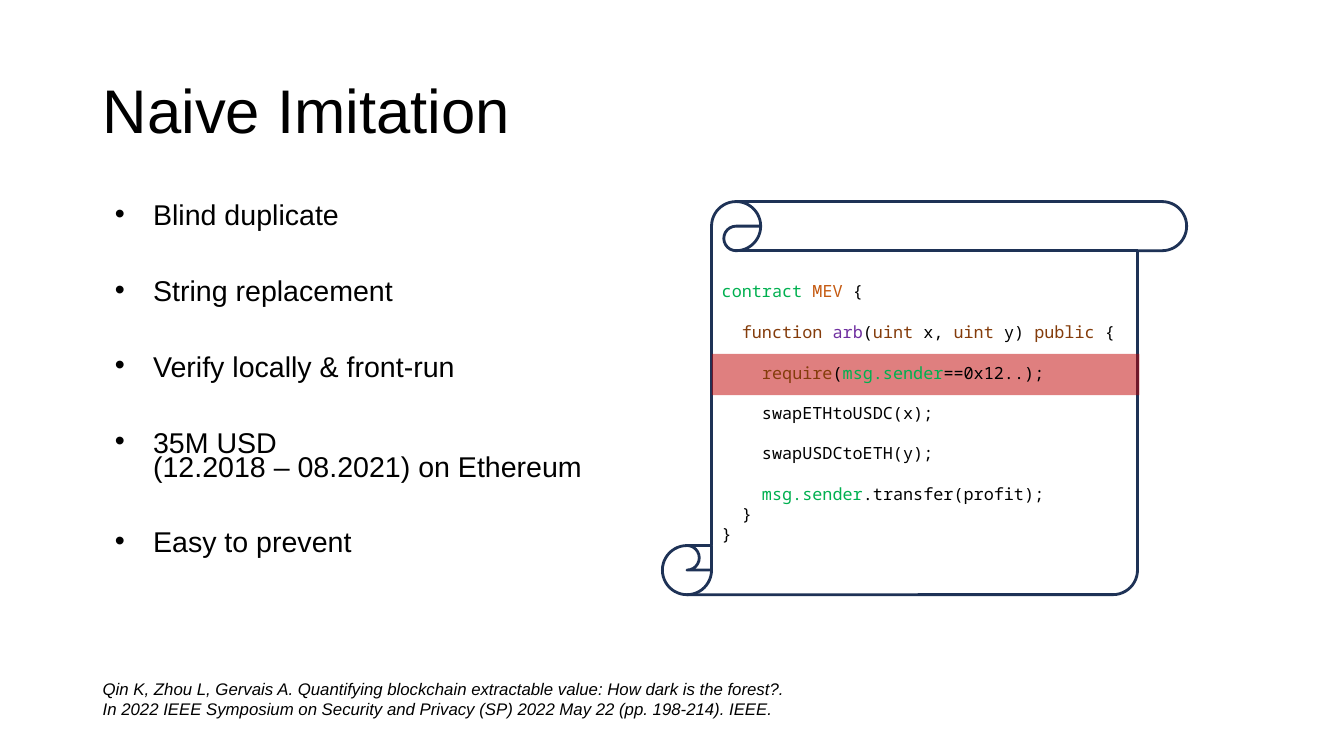
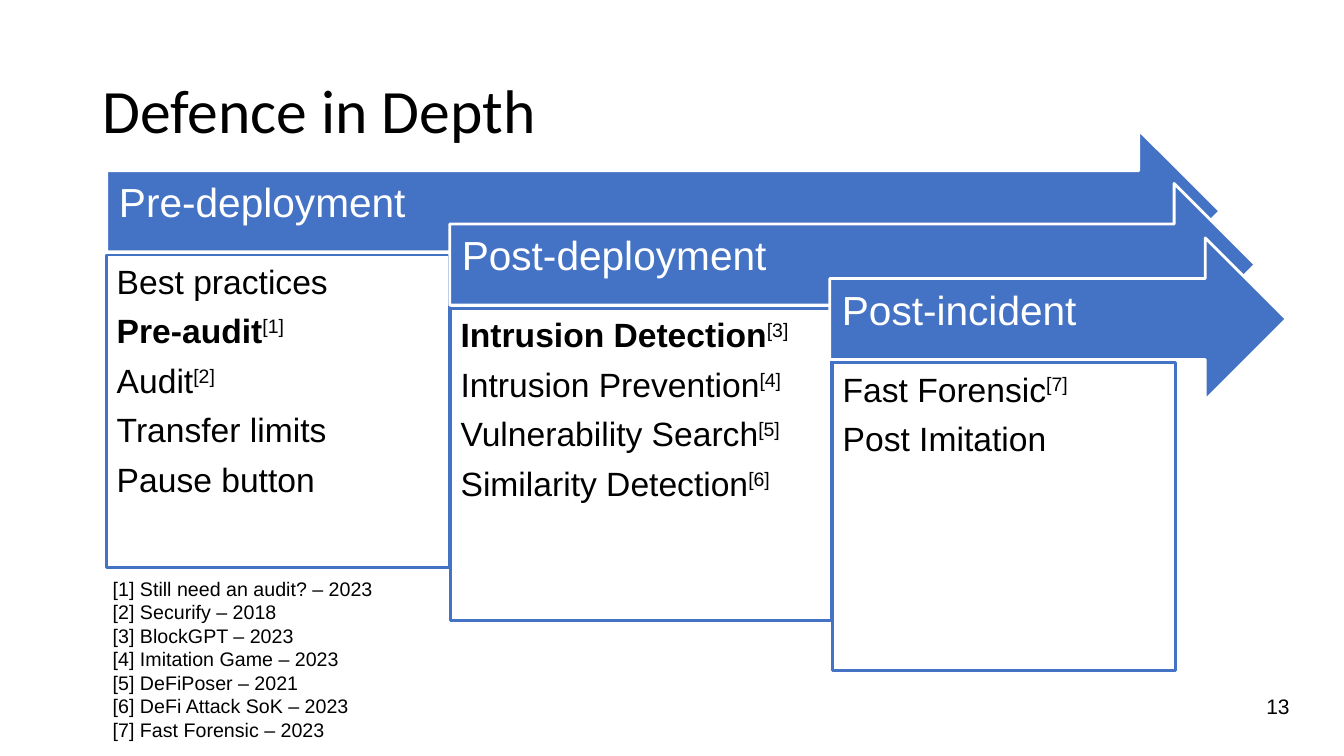
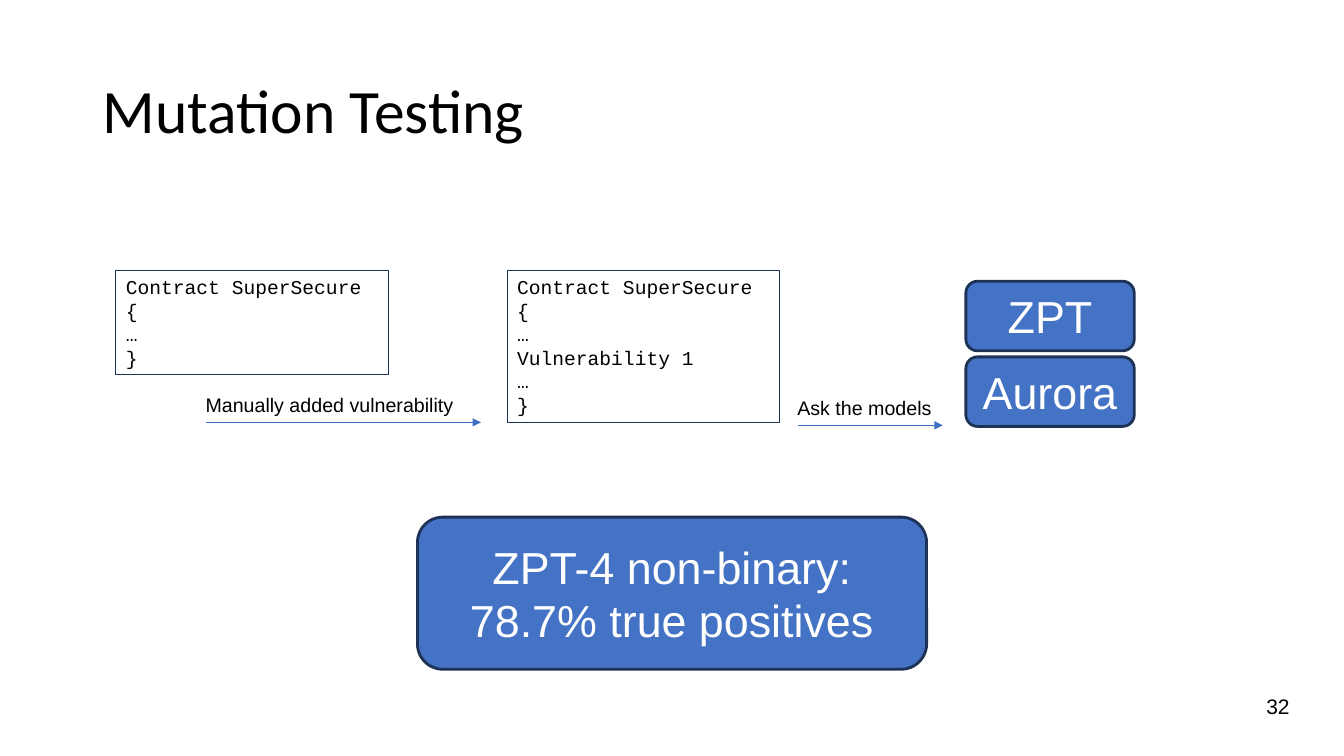
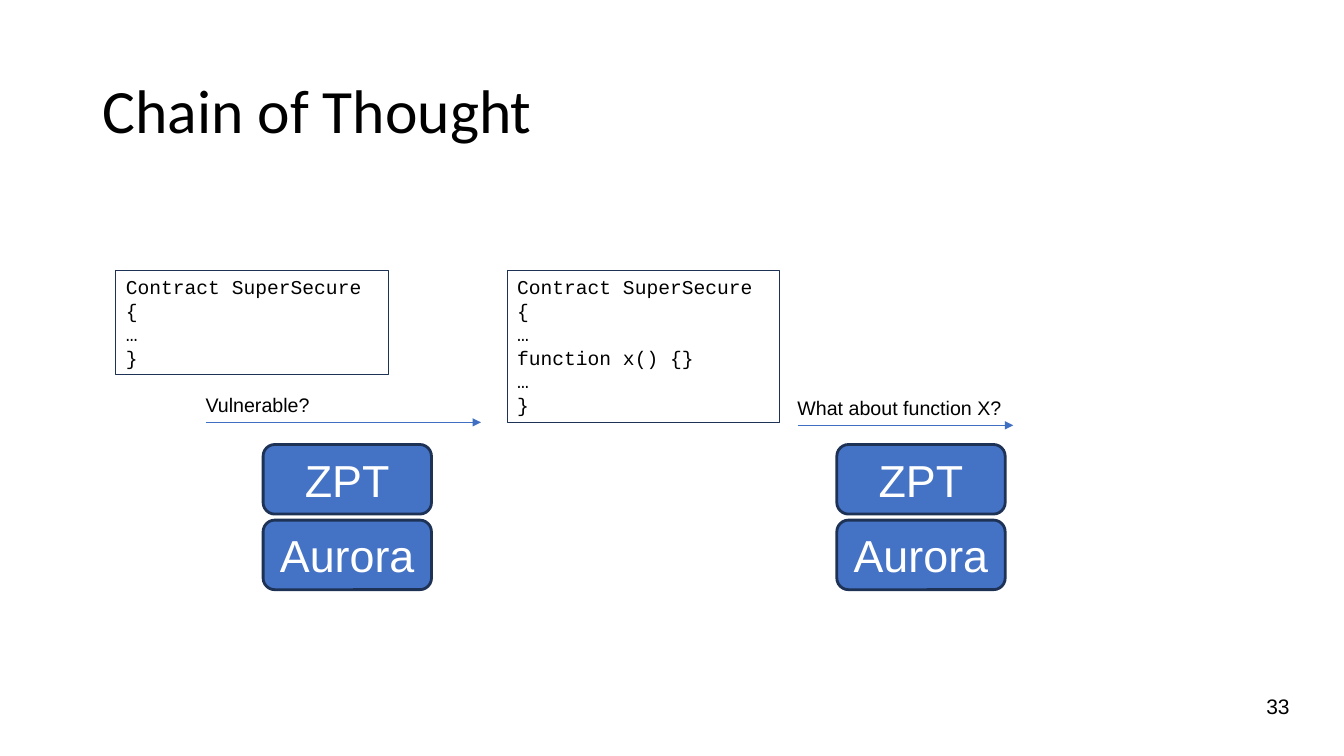
from dataclasses import dataclass, replace

from lxml import etree
from pptx import Presentation
from pptx.dml.color import RGBColor
from pptx.enum.shapes import MSO_CONNECTOR, MSO_SHAPE
from pptx.enum.text import MSO_ANCHOR, PP_ALIGN
from pptx.oxml.ns import qn
from pptx.util import Pt

PX = 9144  # EMU; 100 px to the inch
SLIDE_W, SLIDE_H = 1333, 750

LEFT, CENTER, RIGHT = PP_ALIGN.LEFT, PP_ALIGN.CENTER, PP_ALIGN.RIGHT
TOP, MIDDLE = MSO_ANCHOR.TOP, MSO_ANCHOR.MIDDLE
RECT, ARROW = MSO_SHAPE.RECTANGLE, MSO_SHAPE.RIGHT_ARROW
SCROLL, ROUNDED = MSO_SHAPE.VERTICAL_SCROLL, MSO_SHAPE.FLOWCHART_ALTERNATE_PROCESS
STRAIGHT = MSO_CONNECTOR.STRAIGHT


@dataclass(frozen=True)
class TextStyle:
    size: float
    font: str = "Arial"
    color: str = "000000"
    bold: bool = False
    italic: bool = False
    superscript: bool = False
    align: int = LEFT
    line_spacing: float = 1.0
    space_before: float = 0
    space_after: float = 0
    bullet: bool = False


class Theme:
    white, blue, navy, arrow_blue, red = "FFFFFF", "4472C4", "1E3256", "3F6FC3", "C00000"
    green, orange, brown, purple = "00B050", "C55A11", "843C0B", "7030A0"
    thin, thick = 0.75, 2
    insets = (10, 5, 10, 5)
    banner_insets = (12, 12, 28, 26)
    card_insets = (10, 10, 10, 10)

    title = TextStyle(44, "Calibri", line_spacing=0.9)
    page = TextStyle(15, align=RIGHT)
    bullets = TextStyle(20.4, line_spacing=0.7, space_before=37, bullet=True)
    source_code = TextStyle(12, "Noto Sans Mono")
    citation = TextStyle(12, italic=True)
    banner = TextStyle(29, color=white, line_spacing=0.9)
    card = TextStyle(24, line_spacing=0.9, space_after=9.5)
    small = TextStyle(14)
    contract = TextStyle(14, "Courier New")
    node = TextStyle(32, color=white, align=CENTER)


def rgb(color):
    return RGBColor.from_string(color)


class Deck:
    def __init__(self):
        self.prs = Presentation()
        self.prs.slide_width, self.prs.slide_height = SLIDE_W * PX, SLIDE_H * PX
        self.slide = None

    def new_slide(self, title, page=None, title_font=Theme.title.font):
        self.slide = self.prs.slides.add_slide(self.prs.slide_layouts[6])
        self.text((92, 40, 1150, 145), [title], replace(Theme.title, font=title_font), MIDDLE)
        if page:
            self.text((1056, 683, 233, 52), [page], Theme.page)

    def set_lines(self, frame, lines, style, anchor=TOP, insets=Theme.insets):
        """Fill a frame; a line is a string or a list of (text, style changes) runs.

        A first item that is a number sets the space before that line.
        """
        frame.word_wrap = True
        frame.vertical_anchor = anchor
        (frame.margin_left, frame.margin_top,
         frame.margin_right, frame.margin_bottom) = (side * PX for side in insets)
        for index, line in enumerate(lines):
            paragraph = frame.add_paragraph() if index else frame.paragraphs[0]
            runs = [(line, {})] if isinstance(line, str) else list(line)
            gap = style.space_before
            if not isinstance(runs[0], tuple):
                gap = runs.pop(0)
            if style.bullet:
                self.add_bullet(paragraph)
            paragraph.alignment = style.align
            paragraph.line_spacing = style.line_spacing
            paragraph.space_before = Pt(gap if index else 0)
            paragraph.space_after = Pt(style.space_after)
            for text, changes in runs:
                self.add_run(paragraph, text, replace(style, **changes))

    def add_bullet(self, paragraph):
        properties = paragraph._p.get_or_add_pPr()
        properties.set("marL", str(50 * PX))
        properties.set("indent", str(-38 * PX))
        etree.SubElement(properties, qn("a:buFont")).set("typeface", "Arial")
        etree.SubElement(properties, qn("a:buChar")).set("char", "•")

    def add_run(self, paragraph, text, style):
        for index, part in enumerate(text.split("\n")):
            if index:
                paragraph.add_line_break()
            run = paragraph.add_run()
            run.text = part
            font = run.font
            font.name, font.size = style.font, Pt(style.size)
            font.bold, font.italic = style.bold, style.italic
            font.color.rgb = rgb(style.color)
            if style.superscript:
                run._r.get_or_add_rPr().set("baseline", "30000")

    def text(self, box, lines, style, anchor=TOP):
        area = self.slide.shapes.add_textbox(*(side * PX for side in box))
        self.set_lines(area.text_frame, lines, style, anchor)

    def shape(self, kind, box, fill=None, line=None, width=Theme.thick):
        shape = self.slide.shapes.add_shape(kind, *(side * PX for side in box))
        shape.shadow.inherit = False
        if fill:
            shape.fill.solid()
            shape.fill.fore_color.rgb = rgb(fill)
        else:
            shape.fill.background()
        if line:
            shape.line.color.rgb = rgb(line)
            shape.line.width = Pt(width)
        else:
            shape.line.fill.background()
        return shape

    def highlight(self, box):
        band = self.shape(RECT, box, Theme.red)
        color = band._element.spPr.find(qn("a:solidFill"))[0]
        etree.SubElement(color, qn("a:alpha")).set("val", "50000")

    def stage(self, left, top, banner_width, heading, card, lines):
        """Arrow banner with a list card below it; card is (left, width, height)."""
        banner = self.shape(ARROW, (left, top, banner_width, 161), Theme.blue, Theme.white)
        self.set_lines(banner.text_frame, [heading], Theme.banner, MIDDLE, Theme.banner_insets)
        card_left, card_width, card_height = card
        body = self.shape(RECT, (card_left, top + 124, card_width, card_height),
                          Theme.white, Theme.blue)
        self.set_lines(body.text_frame, lines, Theme.card, insets=Theme.card_insets)

    def contract(self, left, height, body):
        box = self.shape(RECT, (left, 268, 270, height), line=Theme.navy, width=Theme.thin)
        self.set_lines(box.text_frame, ["Contract SuperSecure {", *body, "}"], Theme.contract)

    def labelled_arrow(self, left, y, length, label):
        arrow = self.slide.shapes.add_connector(
            STRAIGHT, left * PX, y * PX, (left + length) * PX, y * PX)
        arrow.line.color.rgb = rgb(Theme.arrow_blue)
        arrow.line.width = Pt(Theme.thin)
        etree.SubElement(arrow.line._get_or_add_ln(), qn("a:tailEnd")).set("type", "triangle")
        etree.SubElement(arrow._element.spPr, qn("a:effectLst"))
        self.text((left - 10, y - 34, length + 20, 34), [label], Theme.small)

    def node(self, box, label):
        node = self.shape(ROUNDED, box, Theme.blue, Theme.navy)
        self.set_lines(node.text_frame, [label], Theme.node, MIDDLE)

    def models(self, left, top):
        for row, name in enumerate(("ZPT", "Aurora")):
            self.node((left, top + row * 75, 167, 69), name)


def colored(color):
    return lambda text: (text, {"color": color})


plain = colored("000000")
green, orange = colored(Theme.green), colored(Theme.orange)
brown, purple = colored(Theme.brown), colored(Theme.purple)


def cited(text, number, bold=False):
    return [(text, {"bold": bold}), (f"[{number}]", {"superscript": True})]


def naive_imitation(deck):
    deck.new_slide("Naive Imitation", title_font="Arial")
    deck.text((92, 200, 528, 390), [
        "Blind duplicate",
        "String replacement",
        "Verify locally & front-run",
        "35M USD\n(12.2018 – 08.2021) on Ethereum",
        "Easy to prevent",
    ], Theme.bullets)
    deck.shape(SCROLL, (657, 200, 520, 390), line=Theme.navy)
    code_line = 14.5
    deck.text((706, 274, 416, 273), [
        [green("contract "), orange("MEV"), plain(" {")],
        [code_line, brown("  function "), purple("arb"), plain("("), brown("uint"),
         plain(" x, "), brown("uint"), plain(" y) "), brown("public"), plain(" {")],
        [3 * code_line, plain("    swapETHtoUSDC(x);")],
        [code_line, plain("    swapUSDCtoETH(y);")],
        [code_line, green("    msg.sender"), plain(".transfer(profit);")],
        "  }",
        "}",
    ], Theme.source_code)
    deck.highlight((706, 351, 424, 41))
    deck.text((746, 355, 323, 30), [
        [brown("require"), plain("("), green("msg.sender"), plain("==0x12..);")],
    ], Theme.source_code)
    deck.text((92, 668, 1141, 50), [
        "Qin K, Zhou L, Gervais A. Quantifying blockchain extractable value: "
        "How dark is the forest?.\n"
        "In 2022 IEEE Symposium on Security and Privacy (SP) 2022 May 22 (pp. 198-214). IEEE.",
    ], Theme.citation)


def defence_in_depth(deck):
    deck.new_slide("Defence in Depth", "13")
    deck.stage(106, 129, 1104, "Pre-deployment", (106, 340, 310), [
        "Best practices",
        cited("Pre-audit", 1, bold=True),
        cited("Audit", 2),
        "Transfer limits",
        "Pause button",
    ])
    deck.stage(446, 182, 799, "Post-deployment", (447, 378, 310), [
        cited("Intrusion Detection", 3, bold=True),
        cited("Intrusion Prevention", 4),
        cited("Vulnerability Search", 5),
        cited("Similarity Detection", 6),
    ])
    deck.stage(823, 236, 453, "Post-incident", (826, 340, 305), [
        cited("Fast Forensic", 7),
        "Post Imitation",
    ])
    references = ("Still need an audit? – 2023", "Securify – 2018", "BlockGPT – 2023",
                  "Imitation Game – 2023", "DeFiPoser – 2021", "DeFi Attack SoK – 2023",
                  "Fast Forensic – 2023")
    deck.text((102, 567, 337, 180),
              [f"[{number}] {work}" for number, work in enumerate(references, 1)],
              Theme.small)


def contract_flow(deck, added_line, first_step, second_step, second_length):
    """Two contract versions, each followed by a labelled step."""
    deck.contract(115, 104, ["…"])
    deck.contract(503, 151, ["…", added_line, "…"])
    deck.labelled_arrow(204, 419, 273, first_step)
    deck.labelled_arrow(791, 422, second_length, second_step)


def mutation_testing(deck):
    deck.new_slide("Mutation Testing", "32")
    contract_flow(deck, "Vulnerability 1", "Manually added vulnerability", "Ask the models", 144)
    deck.models(958, 279)
    deck.node((414, 513, 505, 151), "ZPT-4 non-binary:\n78.7% true positives")


def chain_of_thought(deck):
    deck.new_slide("Chain of Thought", "33")
    contract_flow(deck, "function x() {}", "Vulnerable?", "What about function X?", 214)
    for left in (261, 830):
        deck.models(left, 441)


def main():
    deck = Deck()
    for build in (naive_imitation, defence_in_depth, mutation_testing, chain_of_thought):
        build(deck)
    deck.prs.save("out.pptx")


if __name__ == "__main__":
    main()
